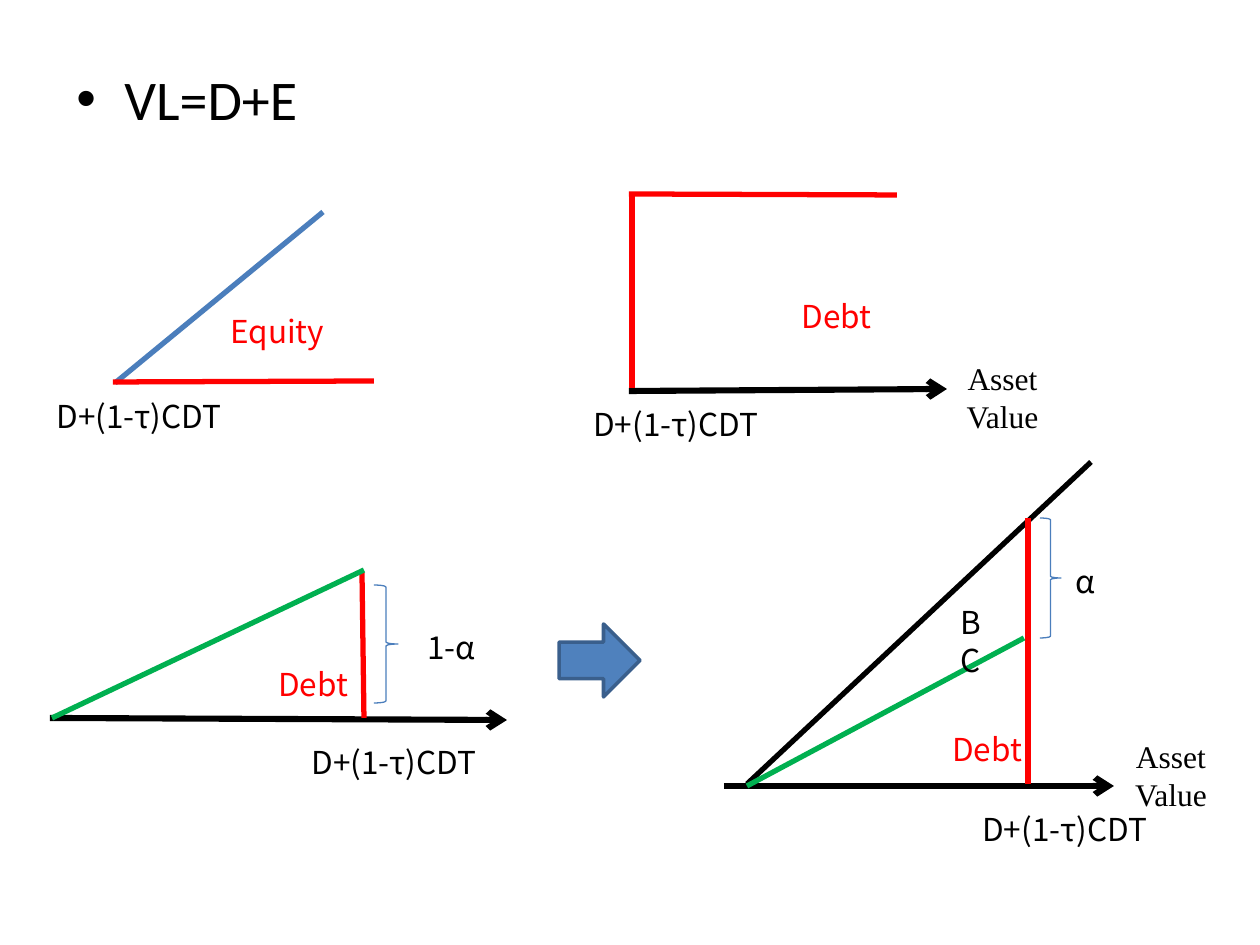
from lxml.etree import SubElement
from pptx import Presentation
from pptx.dml.color import RGBColor
from pptx.enum.shapes import MSO_CONNECTOR, MSO_SHAPE
from pptx.enum.text import PP_ALIGN
from pptx.oxml.ns import qn
from pptx.util import Pt

EMU_PER_PX = 914400 / 126
BLACK, RED, GREEN, BLUE = "000000", "FF0000", "00B050", "4B7EBC"
SANS, SERIF = "Noto Sans CJK SC", "Times New Roman"
THRESHOLD = "D+(1-τ)CDT"


def px(length):
    return round(length * EMU_PER_PX)


def color(hex_string):
    return RGBColor.from_string(hex_string)


def add_label(slide, text, box, ink=BLACK, font=SANS, size=18, align=PP_ALIGN.LEFT):
    frame = slide.shapes.add_textbox(*map(px, box)).text_frame
    frame.word_wrap = True
    paragraph = frame.paragraphs[0]
    paragraph.alignment = align
    run = paragraph.add_run()
    run.text = text
    for name, value in {"name": font, "size": Pt(size)}.items():
        setattr(run.font, name, value)
    run.font.color.rgb = color(ink)
    return paragraph


def add_bullet(slide, text, box):
    paragraph = add_label(slide, text, box, font="Calibri", size=32)
    properties = paragraph._p.get_or_add_pPr()
    for name, value in {"marL": px(48), "indent": px(-48)}.items():
        properties.set(name, str(value))
    SubElement(properties, qn("a:buFont"), typeface="Arial")
    SubElement(properties, qn("a:buChar"), char="•")


def add_line(slide, start, end, ink, width=3):
    line = slide.shapes.add_connector(
        MSO_CONNECTOR.STRAIGHT, *map(px, (*start, *end)))
    line.line.color.rgb = color(ink)
    line.line.width = Pt(width)
    SubElement(line._element.spPr, qn("a:effectLst"))
    return line


def add_axis(slide, start, end):
    axis = add_line(slide, start, end, BLACK, 3.5)
    SubElement(axis.line._get_or_add_ln(), qn("a:tailEnd"), type="arrow")


def add_outline(slide, kind, box, ink, width, fill=None):
    shape = slide.shapes.add_shape(kind, *map(px, box))
    shape.shadow.inherit = False
    if fill:
        shape.fill.solid()
        shape.fill.fore_color.rgb = color(fill)
    else:
        shape.fill.background()
    shape.line.color.rgb = color(ink)
    shape.line.width = Pt(width)


def add_brace(slide, box):
    add_outline(slide, MSO_SHAPE.RIGHT_BRACE, box, BLUE, 0.75)


def add_asset_value(slide, box):
    add_label(slide, "Asset Value", box, font=SERIF, align=PP_ALIGN.CENTER)


def draw_equity(slide):
    add_line(slide, (115, 383), (323, 212), BLUE)
    add_line(slide, (113, 382), (374, 381), RED)
    add_label(slide, "Equity", (218, 306, 159, 50), RED)
    add_label(slide, THRESHOLD, (44, 391, 284, 50))


def draw_debt(slide):
    add_axis(slide, (629, 391), (947, 389))
    add_asset_value(slide, (950, 353, 105, 48))
    add_line(slide, (632, 195), (632, 388), RED)
    add_label(slide, THRESHOLD, (581, 399, 289, 50))
    add_line(slide, (629, 194), (897, 195), RED)
    add_label(slide, "Debt", (789, 291, 105, 28), RED)


def draw_recovery(slide):
    add_label(slide, THRESHOLD, (299, 737, 284, 50))
    add_label(slide, "1-α", (415, 622, 126, 44))
    add_axis(slide, (50, 718), (507, 720))
    add_line(slide, (362, 572), (364, 718), RED)
    add_line(slide, (52, 718), (364, 570), GREEN)
    add_brace(slide, (374, 585, 24, 118))
    add_label(slide, "Debt", (266, 659, 149, 50), RED)


def draw_bankruptcy_cost(slide):
    add_axis(slide, (724, 786), (1114, 786))
    add_line(slide, (747, 784), (1091, 462), BLACK)
    add_asset_value(slide, (1110, 731, 122, 78))
    add_line(slide, (1028, 518), (1028, 784), RED)
    add_label(slide, THRESHOLD, (970, 804, 202, 50))
    add_line(slide, (747, 786), (1024, 638), GREEN)
    add_label(slide, "BC", (948, 597, 59, 45))
    add_brace(slide, (1040, 518, 21, 120))
    add_label(slide, "α", (1063, 556, 42, 45))
    add_label(slide, "Debt", (940, 724, 100, 50), RED)


def main():
    deck = Presentation()
    deck.slide_width, deck.slide_height = px(1260), px(945)
    slide = deck.slides.add_slide(deck.slide_layouts[6])

    # Value equation
    add_bullet(slide, "VL=D+E", (64, 58, 1134, 789))

    # Payoff diagrams
    draw_equity(slide)
    draw_debt(slide)
    draw_recovery(slide)
    draw_bankruptcy_cost(slide)

    # Arrow between the lower diagrams
    add_outline(slide, MSO_SHAPE.RIGHT_ARROW, (559, 624, 81, 73),
                "3A5F8C", 2, "4F81BD")

    deck.save("out.pptx")


if __name__ == "__main__":
    main()
